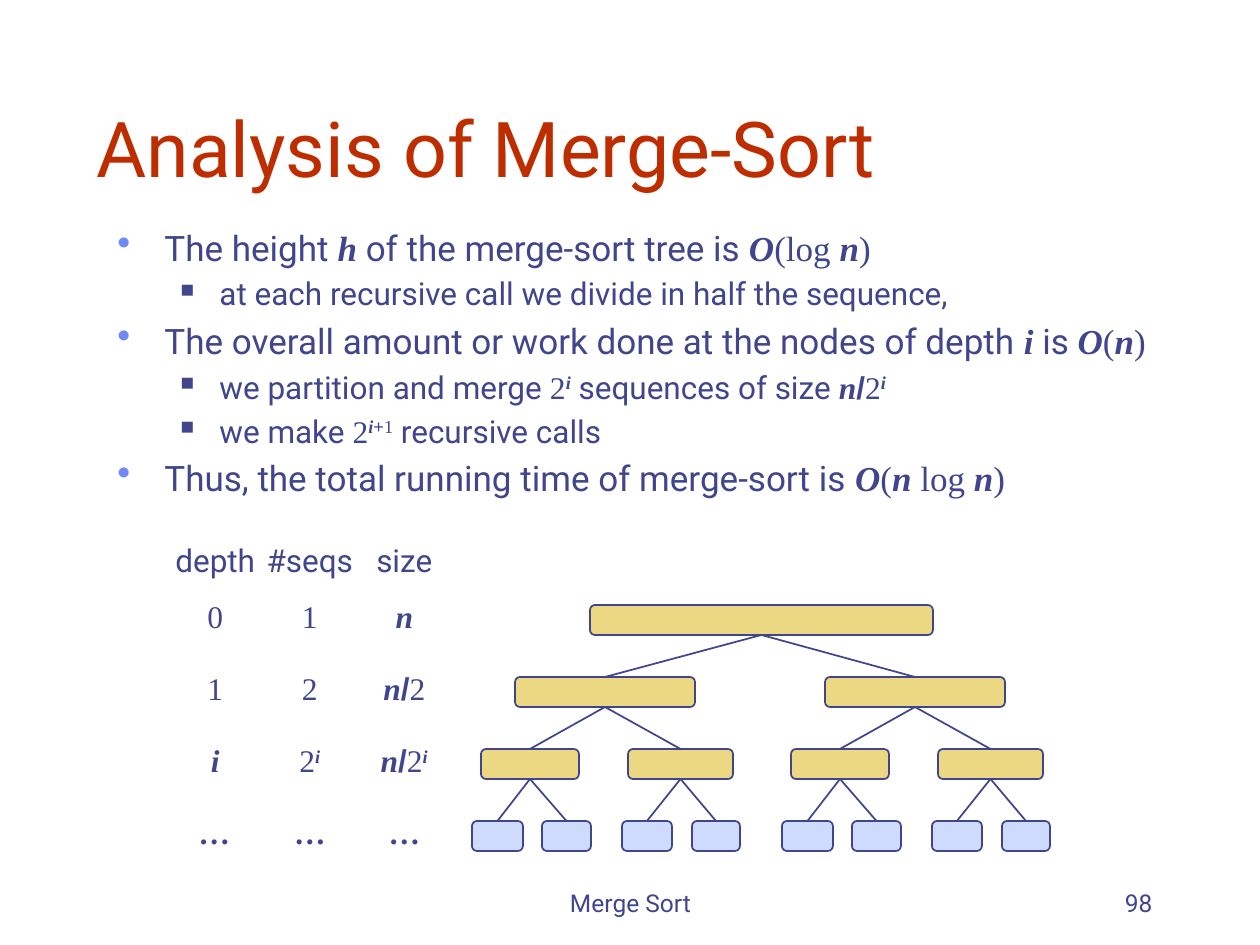
from dataclasses import dataclass

from lxml.etree import SubElement
from pptx import Presentation
from pptx.dml.color import RGBColor
from pptx.enum.shapes import MSO_CONNECTOR, MSO_SHAPE
from pptx.enum.text import MSO_ANCHOR as Anchor, PP_ALIGN as Align
from pptx.oxml.ns import qn
from pptx.util import Emu, Pt

COLORS = {
    "title": "BE2D00",
    "ink": "40458C",
    "dot": "6F89F7",
    "node": "ECD882",
    "leaf": "CFDBFD",
}


def px(length: int) -> Emu:
    return Emu(round(length * 914400 / 126))


def color(name: str) -> RGBColor:
    return RGBColor.from_string(COLORS[name])


@dataclass(frozen=True)
class Style:
    face: str
    bold: bool = False
    italic: bool = False
    raised: bool = False


SERIF = "Times New Roman"
PLAIN = Style("Roboto")
MATH = Style(SERIF)
VAR = Style(SERIF, bold=True, italic=True)
DOTS = Style(SERIF, bold=True)
SLASH = Style("Arial", bold=True)
POWER = Style(SERIF, bold=True, italic=True, raised=True)
POWER_PLUS = Style("Arial", raised=True)
POWER_DIGIT = Style(SERIF, raised=True)

Spans = list[tuple[str, Style]]


@dataclass(frozen=True)
class Bullet:
    sign: str
    color: str
    percent: int
    level: int
    margin: int
    hang: int
    size: int


MAIN = Bullet("•", "dot", 110, 0, 47, 47, 20)
SUB = Bullet("■", "ink", 60, 1, 102, 39, 18)


@dataclass(frozen=True)
class Node:
    left: int
    width: int
    children: tuple["Node", ...] = ()


def add_spacing(para) -> None:
    before = SubElement(para._p.get_or_add_pPr(), qn("a:spcBef"))
    SubElement(before, qn("a:spcPct"), val="20000")


def add_bullet(para, bullet: Bullet) -> None:
    props = para._p.get_or_add_pPr()
    props.set("marL", str(px(bullet.margin)))
    props.set("indent", str(-px(bullet.hang)))
    para.level = bullet.level
    tint = SubElement(props, qn("a:buClr"))
    SubElement(tint, qn("a:srgbClr"), val=COLORS[bullet.color])
    SubElement(props, qn("a:buSzPct"), val=str(bullet.percent * 1000))
    SubElement(props, qn("a:buChar"), char=bullet.sign)


def write(para, spans: Spans, size: int, ink: str = "ink") -> None:
    para.font.size = Pt(size)
    para.font.color.rgb = color(ink)
    for text, style in spans:
        span = para.add_run()
        span.text = text
        span.font.name = style.face
        span.font.bold = style.bold
        span.font.italic = style.italic
        if style.raised:
            span._r.get_or_add_rPr().set("baseline", "30000")


def add_box(page, left: int, top: int, width: int, height: int, anchor: Anchor):
    box = page.shapes.add_textbox(px(left), px(top), px(width), px(height))
    box.text_frame.word_wrap = True
    box.text_frame.vertical_anchor = anchor
    return box.text_frame


def add_label(page, place: tuple[int, int, int, int], text: str, size: int,
              align: Align, ink: str = "ink") -> None:
    para = add_box(page, *place, Anchor.BOTTOM).paragraphs[0]
    para.alignment = align
    write(para, [(text, PLAIN)], size, ink)


def add_edge(page, parent, child) -> None:
    edge = page.shapes.add_connector(MSO_CONNECTOR.STRAIGHT, 0, 0, 0, 0)
    edge.begin_connect(parent, 2)
    edge.end_connect(child, 0)
    edge.line.color.rgb = color("ink")
    edge.line.width = Pt(1)
    SubElement(edge._element.spPr, qn("a:effectLst"))


def add_tree(page, node: Node, shift: int = 0, depth: int = 0):
    box = page.shapes.add_shape(
        MSO_SHAPE.ROUNDED_RECTANGLE, px(node.left + shift),
        px(605 + 72 * depth), px(node.width), px(30))
    box.shadow.inherit = False
    box.fill.solid()
    box.fill.fore_color.rgb = color("node" if node.children else "leaf")
    box.line.color.rgb = color("ink")
    box.line.width = Pt(1)
    # Both halves of the tree share one outline, set apart by a fixed shift
    steps = (0, 310) if depth == 0 else (shift,) * len(node.children)
    for child, step in zip(node.children, steps):
        add_edge(page, box, add_tree(page, child, step, depth + 1))
    return box


HALF = Node(515, 180, (
    Node(481, 98, (Node(472, 51), Node(542, 49))),
    Node(628, 105, (Node(622, 50), Node(692, 48))),
))
ROOT = Node(590, 343, (HALF, HALF))

POINTS: list[tuple[Bullet, Spans]] = [
    (MAIN, [("The height ", PLAIN), ("h", VAR),
            (" of the merge-sort tree is ", PLAIN), ("O", VAR),
            ("(log ", MATH), ("n", VAR), (")", MATH)]),
    (SUB, [("at each recursive call we divide in half the sequence,", PLAIN)]),
    (MAIN, [("The overall amount or work done at the nodes of depth ", PLAIN),
            ("i ", VAR), ("is ", PLAIN), ("O", VAR), ("(", MATH), ("n", VAR),
            (")", MATH)]),
    (SUB, [("we partition and merge ", PLAIN), ("2", MATH), ("i", POWER),
           (" sequences of size ", PLAIN), ("n", VAR), ("/", SLASH),
           ("2", MATH), ("i", POWER)]),
    (SUB, [("we make ", PLAIN), ("2", MATH), ("i", POWER), ("+", POWER_PLUS),
           ("1", POWER_DIGIT), (" recursive calls", PLAIN)]),
    (MAIN, [("Thus, the total running time of merge-sort is ", PLAIN),
            ("O", VAR), ("(", MATH), ("n", VAR), (" log ", MATH), ("n", VAR),
            (")", MATH)]),
]

LEVELS: list[list[Spans]] = [
    [[("depth", PLAIN)], [("#seqs", PLAIN)], [("size", PLAIN)]],
    [[("0", MATH)], [("1", MATH)], [("n", VAR)]],
    [[("1", MATH)], [("2", MATH)], [("n", VAR), ("/", SLASH), ("2", MATH)]],
    [[("i", VAR)], [("2", MATH), ("i", POWER)],
     [("n", VAR), ("/", SLASH), ("2", MATH), ("i", POWER)]],
    [[("…", VAR)], [("…", DOTS)], [("…", DOTS)]],
]


def add_points(page) -> None:
    frame = add_box(page, 105, 220, 1092, 305, Anchor.TOP)
    for index, (bullet, spans) in enumerate(POINTS):
        para = frame.add_paragraph() if index else frame.paragraphs[0]
        add_spacing(para)
        add_bullet(para, bullet)
        write(para, spans, bullet.size)


def add_levels(page) -> None:
    table = page.shapes.add_table(
        5, 3, px(168), px(543), px(284), px(327)).table
    table.first_row = table.horz_banding = False
    for column in table.columns:
        column.width = Emu(685800)
    for index, (row, entries) in enumerate(zip(table.rows, LEVELS)):
        row.height = px(72 if index else 39)
        for cell, spans in zip(row.cells, entries):
            cell.fill.background()
            cell.margin_left = cell.margin_right = 0
            cell.margin_top = cell.margin_bottom = 0
            cell.vertical_anchor = Anchor.MIDDLE if index else Anchor.TOP
            para = cell.text_frame.paragraphs[0]
            para.alignment = Align.CENTER
            add_spacing(para)
            write(para, spans, 18)


def main() -> None:
    deck = Presentation()
    deck.slide_width, deck.slide_height = px(1260), px(945)
    page = deck.slides.add_slide(deck.slide_layouts[6])
    # Title and bullet points
    add_label(page, (84, 42, 1071, 157), "Analysis of Merge-Sort", 44,
              Align.LEFT, "title")
    add_points(page)
    # Footer
    add_label(page, (431, 861, 399, 63), "Merge Sort", 14, Align.CENTER)
    add_label(page, (903, 861, 262, 63), "98", 14, Align.RIGHT)
    # Recursion tree with its cost table
    add_tree(page, ROOT)
    add_levels(page)
    deck.save("out.pptx")


if __name__ == "__main__":
    main()
